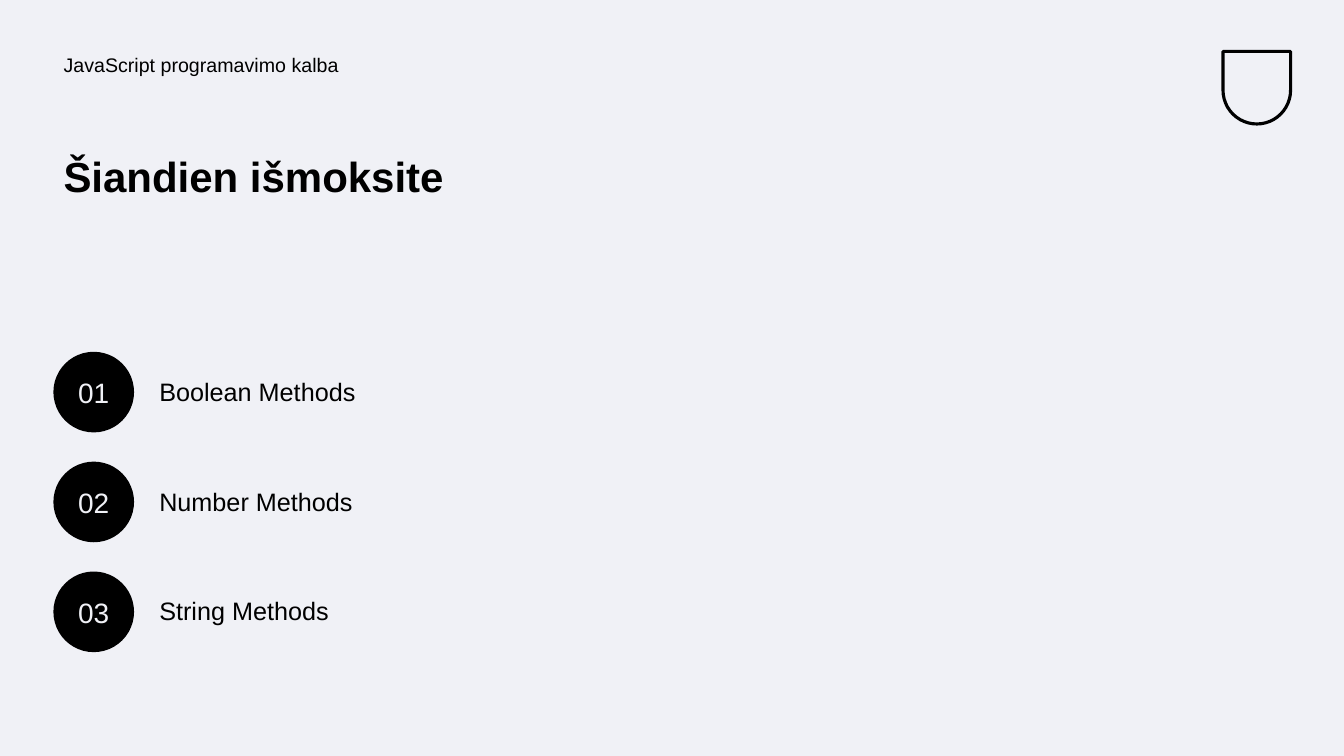
from pptx import Presentation
from pptx.dml.color import RGBColor
from pptx.enum.shapes import MSO_SHAPE
from pptx.enum.text import MSO_ANCHOR, MSO_AUTO_SIZE, PP_ALIGN
from pptx.oxml.ns import qn
from pptx.util import Inches, Pt

OVAL = MSO_SHAPE.OVAL
SHIELD = MSO_SHAPE.ROUND_2_SAME_RECTANGLE
TOP, MIDDLE = MSO_ANCHOR.TOP, MSO_ANCHOR.MIDDLE
LEFT, CENTER = PP_ALIGN.LEFT, PP_ALIGN.CENTER
NO_AUTOFIT = MSO_AUTO_SIZE.NONE
BLACK, PALE = "000000", "F0F1F6"
COMPARISON_LAYOUT = 4


def color(value):
    return RGBColor.from_string(value)


def write(box, text, size, ink=BLACK, bold=False, align=LEFT, anchor=TOP, spacing=1.0):
    frame = box.text_frame
    frame.text = text
    frame.word_wrap = True
    frame.auto_size = NO_AUTOFIT
    frame.vertical_anchor = anchor
    frame.margin_left = frame.margin_right = Inches(0.1)
    frame.margin_top = frame.margin_bottom = Inches(0.05)
    para = frame.paragraphs[0]
    para.alignment = align
    para.line_spacing = spacing
    para.space_before = para.space_after = Pt(0)
    properties = para._p.get_or_add_pPr()
    properties.set("marL", "0")
    properties.set("indent", "0")
    properties.append(properties.makeelement(qn("a:buNone"), {}))
    font = para.runs[0].font
    font.name = "Arial"
    font.size = Pt(size)
    font.bold = bold
    font.color.rgb = color(ink)


deck = Presentation()
deck.slide_width, deck.slide_height = Inches(13.33), Inches(7.5)
page = deck.slides.add_slide(deck.slide_layouts[COMPARISON_LAYOUT])
page.background.fill.solid()
page.background.fill.fore_color.rgb = color(PALE)
title, course, *topic_boxes = page.placeholders

emblem = page.shapes.add_shape(SHIELD, Inches(12.13), Inches(0.51), Inches(0.67), Inches(0.72))
emblem.rotation = 180
emblem.adjustments[0] = 0.5
emblem.shadow.inherit = False
emblem.fill.background()
emblem.line.color.rgb = color(BLACK)
emblem.line.width = Pt(2.25)

course.left, course.top, course.width, course.height = map(Inches, (0.53, 0.5, 7.42, 0.5))
write(course, "JavaScript programavimo kalba", 14, spacing=0.9)

title.left, title.top, title.width, title.height = map(Inches, (0.53, 1.5, 5.64, 1.49))
write(title, "Šiandien išmoksite", 30, bold=True, spacing=0.9)

topics = ["Boolean Methods", "Number Methods", "String Methods"]
for index, (box, topic) in enumerate(zip(topic_boxes, topics)):
    top = 3.49 + index * 1.09
    badge = page.shapes.add_shape(OVAL, Inches(0.53), Inches(top), Inches(0.8), Inches(0.8))
    badge.shadow.inherit = False
    badge.fill.solid()
    badge.fill.fore_color.rgb = color(BLACK)
    badge.line.fill.background()
    write(badge, f"{index + 1:02}", 20, ink=PALE, align=CENTER, anchor=MIDDLE)

    box.left, box.top, box.width, box.height = map(Inches, (1.48, top + 0.19, 4.63, 0.45))
    write(box, topic, 18)

deck.save("out.pptx")
